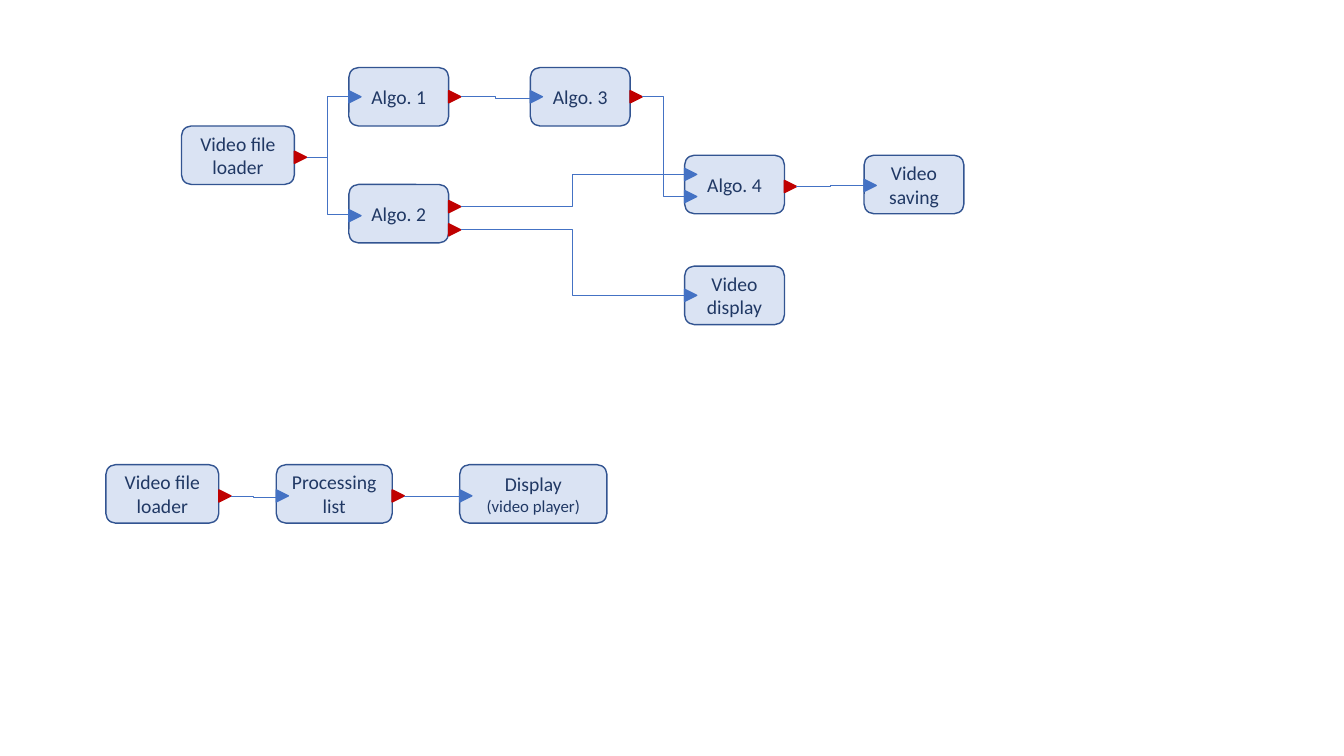
from lxml.etree import SubElement
from pptx import Presentation
from pptx.dml.color import RGBColor
from pptx.enum.shapes import MSO_CONNECTOR as Connector, MSO_SHAPE as Shape
from pptx.enum.text import MSO_ANCHOR as Anchor, PP_ALIGN as Align
from pptx.oxml.ns import qn
from pptx.util import Inches, Pt

COLORS = {
    "box": "DAE3F3",
    "border": "325491",
    "text": "203864",
    "output": "C00000",
    "input": "4472C4",
}
BOX_HEIGHT = 0.58
PORT = 0.12

# name: (left, top, width, [(text, size), ...])
BOXES = {
    "saving": (8.57, 1.54, 0.99, [("Video saving", 14)]),
    "loader": (1.8, 1.25, 1.12, [("Video file loader", 14)]),
    "algo 1": (3.46, 0.67, 0.99, [("Algo. 1", 14)]),
    "algo 2": (3.46, 1.83, 0.99, [("Algo. 2", 14)]),
    "algo 3": (5.26, 0.67, 0.99, [("Algo. 3", 14)]),
    "algo 4": (6.79, 1.54, 0.99, [("Algo. 4", 14)]),
    "display": (6.79, 2.64, 0.99, [("Video display", 14)]),
    "file loader": (1.05, 4.61, 1.12, [("Video file loader", 14)]),
    "processing": (2.74, 4.61, 1.15, [("Processing list", 14)]),
    "player": (4.56, 4.61, 1.46, [("Display", 14), ("(video player)", 12)]),
}

# (source box, output height, target box, input height, wire end height)
LINKS = [
    ("loader", 1.56, "algo 1", 0.96, 0.96),
    ("loader", 1.56, "algo 2", 2.14, 2.13),
    ("algo 1", 0.96, "algo 3", 0.96, 0.98),
    ("algo 2", 2.05, "algo 4", 1.73, 1.73),
    ("algo 2", 2.28, "display", 2.93, 2.93),
    ("algo 3", 0.96, "algo 4", 1.95, 1.95),
    ("algo 4", 1.85, "saving", 1.84, 1.84),
    ("file loader", 4.92, "processing", 4.92, 4.93),
    ("processing", 4.92, "player", 4.92, 4.92),
]


def color(name):
    return RGBColor.from_string(COLORS[name])


def add_shape(page, kind, left, top, width, height, fill, line):
    shape = page.shapes.add_shape(
        kind, Inches(left), Inches(top), Inches(width), Inches(height))
    shape.shadow.inherit = False
    shape.fill.solid()
    shape.fill.fore_color.rgb = color(fill)
    shape.line.color.rgb = color(line)
    shape.line.width = Pt(1)
    return shape


def write(frame, lines, font="Calibri", ink="text", align=Align.CENTER):
    frame.word_wrap = True
    frame.vertical_anchor = Anchor.MIDDLE
    for index, (text, size) in enumerate(lines):
        para = frame.add_paragraph() if index else frame.paragraphs[0]
        para.alignment = align
        span = para.add_run()
        span.text = text
        span.font.name = font
        span.font.size = Pt(size)
        span.font.color.rgb = color(ink)


def add_port(page, left, middle, role):
    """Draw a right-pointing triangle centred on the given height."""
    port = add_shape(page, Shape.ISOSCELES_TRIANGLE, left, middle - PORT / 2,
                     PORT, PORT, role, role)
    port.rotation = 90


def add_wire(page, start, end):
    wire = page.shapes.add_connector(
        Connector.ELBOW, *(Inches(value) for value in start + end))
    wire.line.color.rgb = color("input")
    wire.line.width = Pt(0.5)
    SubElement(wire._element.spPr, qn("a:effectLst"))


def right_edge(name):
    left, _, width, _ = BOXES[name]
    return left + width


def main():
    deck = Presentation()
    deck.slide_width, deck.slide_height = Inches(13.33), Inches(7.5)
    page = deck.slides.add_slide(deck.slide_layouts[6])

    for left, top, width, lines in BOXES.values():
        box = add_shape(page, Shape.ROUNDED_RECTANGLE, left, top, width,
                        BOX_HEIGHT, "box", "border")
        write(box.text_frame, lines)

    outputs = dict.fromkeys((link[0], link[1]) for link in LINKS)
    for name, middle in outputs:
        add_port(page, right_edge(name), middle, "output")
    for _, _, name, middle, _ in LINKS:
        add_port(page, BOXES[name][0], middle, "input")

    for source, start_y, target, _, end_y in LINKS:
        add_wire(page, (right_edge(source) + PORT, start_y),
                 (BOXES[target][0], end_y))

    deck.save("out.pptx")


if __name__ == "__main__":
    main()
